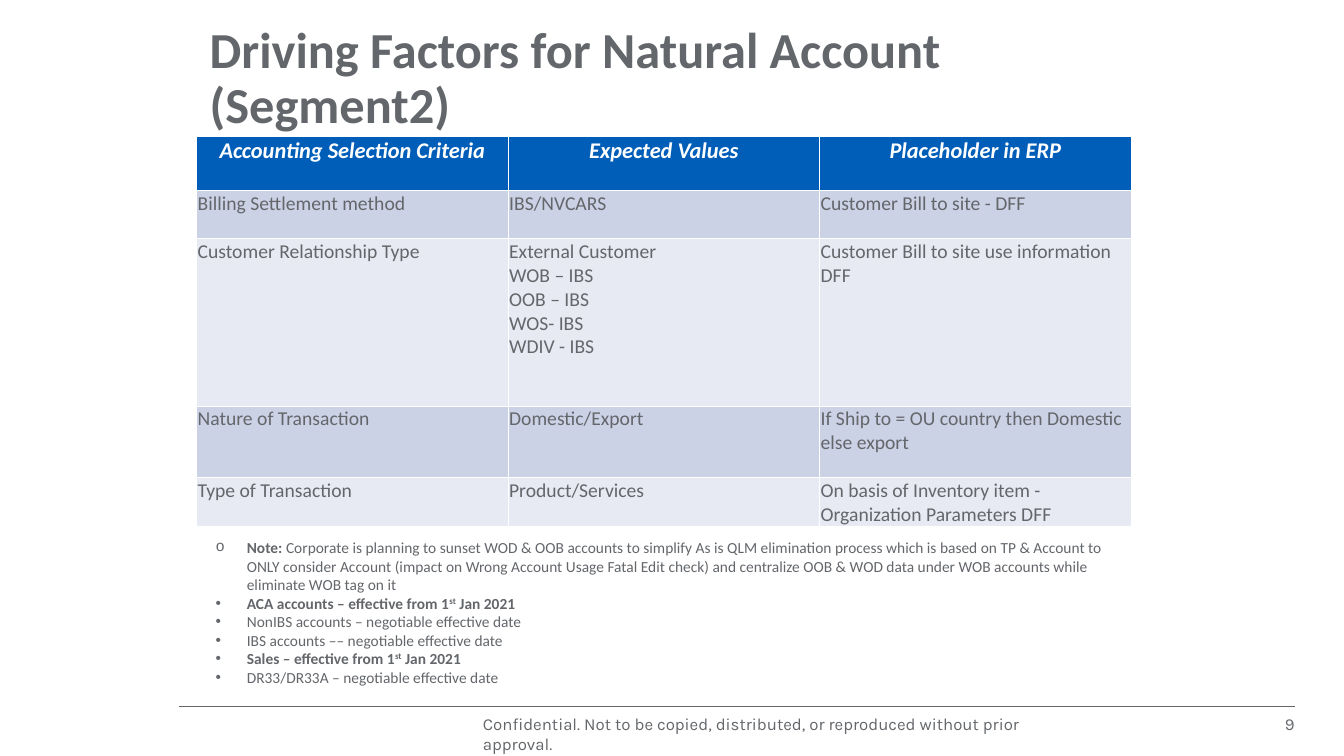
"""Build the slide on driving factors for the natural account segment."""
from lxml.etree import SubElement
from pptx import Presentation
from pptx.dml.color import RGBColor
from pptx.enum.shapes import MSO_CONNECTOR
from pptx.enum.text import MSO_ANCHOR, MSO_AUTO_SIZE, PP_ALIGN
from pptx.oxml.ns import qn
from pptx.util import Inches, Pt

GREY, WHITE, BLUE = "63666A", "FFFFFF", "005EB8"
BANDS = ["CCD2E6", "E7EAF3"]


def color(value):
    return RGBColor.from_string(value)


def write(para, text, size=12, font="Calibri", fill=GREY, bold=False, italic=False, raised=False):
    span = para.add_run()
    span.text = text
    span.font.size = Pt(size)
    span.font.name = font
    span.font.color.rgb = color(fill)
    span.font.bold = bold
    span.font.italic = italic
    if raised:
        span.font._element.set("baseline", "30000")


deck = Presentation()
deck.slide_width, deck.slide_height = Inches(13.33), Inches(7.5)
page = deck.slides.add_slide(deck.slide_layouts[5])

title = page.shapes.title
title.left, title.top, title.width, title.height = Inches(2.08), Inches(0.23), Inches(9.13), Inches(1.12)
frame = title.text_frame
frame.margin_left = frame.margin_right = frame.margin_top = frame.margin_bottom = 0
frame.word_wrap = True
frame.auto_size = MSO_AUTO_SIZE.NONE
frame.vertical_anchor = MSO_ANCHOR.MIDDLE
para = frame.paragraphs[0]
para.alignment = PP_ALIGN.LEFT
para.line_spacing = 0.9
write(para, "Driving Factors for Natural Account (Segment2)", size=36, bold=True)

rule = page.shapes.add_connector(
    MSO_CONNECTOR.STRAIGHT, Inches(1.78), Inches(7.01), Inches(12.84), Inches(7.01))
rule.line.color.rgb = color(GREY)
rule.line.width = Pt(0.25)
SubElement(rule._element.spPr, qn("a:effectLst"))

footers = [
    (4.79, 5.64, PP_ALIGN.LEFT,
     "Confidential. Not to be copied, distributed, or reproduced without prior approval."),
    (12.48, 0.36, PP_ALIGN.RIGHT, "9"),
]
for left, width, alignment, text in footers:
    box = page.shapes.add_textbox(Inches(left), Inches(7.08), Inches(width), Inches(0.2))
    frame = box.text_frame
    frame.margin_left = frame.margin_right = frame.margin_top = frame.margin_bottom = 0
    frame.word_wrap = True
    frame.paragraphs[0].alignment = alignment
    write(frame.paragraphs[0], text, font="Karla")

rows = [
    (0.54, ["Accounting Selection Criteria", "Expected Values", "Placeholder in ERP"]),
    (0.48, ["Billing Settlement method", "IBS/NVCARS", "Customer Bill to site - DFF"]),
    (1.66, ["Customer Relationship Type",
            "External Customer\nWOB – IBS\nOOB – IBS\nWOS- IBS\nWDIV - IBS",
            "Customer Bill to site use information DFF"]),
    (0.71, ["Nature of Transaction", "Domestic/Export",
            "If Ship to = OU country then Domestic else export"]),
    (0.48, ["Type of Transaction", "Product/Services",
            "On basis of Inventory item - Organization Parameters DFF"]),
]
table = page.shapes.add_table(
    len(rows), 3, Inches(1.95), Inches(1.35), Inches(9.27),
    Inches(sum(height for height, texts in rows))).table
for column in table.columns:
    column.width = Inches(3.09)
for row_index, (height, texts) in enumerate(rows):
    table.rows[row_index].height = Inches(height)
    header = row_index == 0
    for column_index, text in enumerate(texts):
        cell = table.cell(row_index, column_index)
        cell.margin_left = cell.margin_right = cell.margin_top = Inches(0.01)
        cell.margin_bottom = 0
        cell.vertical_anchor = MSO_ANCHOR.TOP
        for side in ["lnL", "lnR", "lnT", "lnB"]:
            border = SubElement(cell._tc.get_or_add_tcPr(), qn("a:" + side), w=str(Pt(1)))
            SubElement(SubElement(border, qn("a:solidFill")), qn("a:srgbClr"), val=WHITE)
        cell.fill.solid()
        cell.fill.fore_color.rgb = color(BLUE if header else BANDS[(row_index - 1) % 2])
        for line_index, line in enumerate(text.split("\n")):
            frame = cell.text_frame
            para = frame.add_paragraph() if line_index else frame.paragraphs[0]
            para.alignment = PP_ALIGN.CENTER if header else PP_ALIGN.LEFT
            write(para, line, size=16 if header else 14, fill=WHITE if header else GREY,
                  bold=header, italic=header)

bold, raised = {"bold": True}, {"bold": True, "raised": True}
notes = [
    ("o", [("Note:", bold),
           (" Corporate is planning to sunset WOD & OOB accounts to simplify As is QLM elimination "
            "process which is based on TP & Account to ONLY consider Account (impact on Wrong Account "
            "Usage Fatal Edit check) and centralize OOB & WOD data under WOB accounts while eliminate "
            "WOB tag on it", {})]),
    ("•", [("ACA accounts – effective from 1", bold), ("st", raised), (" Jan 2021", bold)]),
    ("•", [("NonIBS accounts – negotiable effective date", {})]),
    ("•", [("IBS accounts –– negotiable effective date", {})]),
    ("•", [("Sales – effective from 1", bold), ("st", raised), (" Jan 2021", bold)]),
    ("•", [("DR33/DR33A – negotiable effective date", {})]),
]
box = page.shapes.add_textbox(Inches(1.54), Inches(5.29), Inches(9.77), Inches(1.58))
frame = box.text_frame
frame.word_wrap = True
for note_index, (bullet, spans) in enumerate(notes):
    para = frame.add_paragraph() if note_index else frame.paragraphs[0]
    para.level = 1
    settings = para._p.get_or_add_pPr()
    settings.set("marL", str(Inches(0.81)))
    settings.set("indent", str(Inches(-0.31)))
    SubElement(settings, qn("a:buFont"), typeface="Courier New" if bullet == "o" else "Arial")
    SubElement(settings, qn("a:buChar"), char=bullet)
    for text, style in spans:
        write(para, text, size=11, **style)

deck.save("out.pptx")
